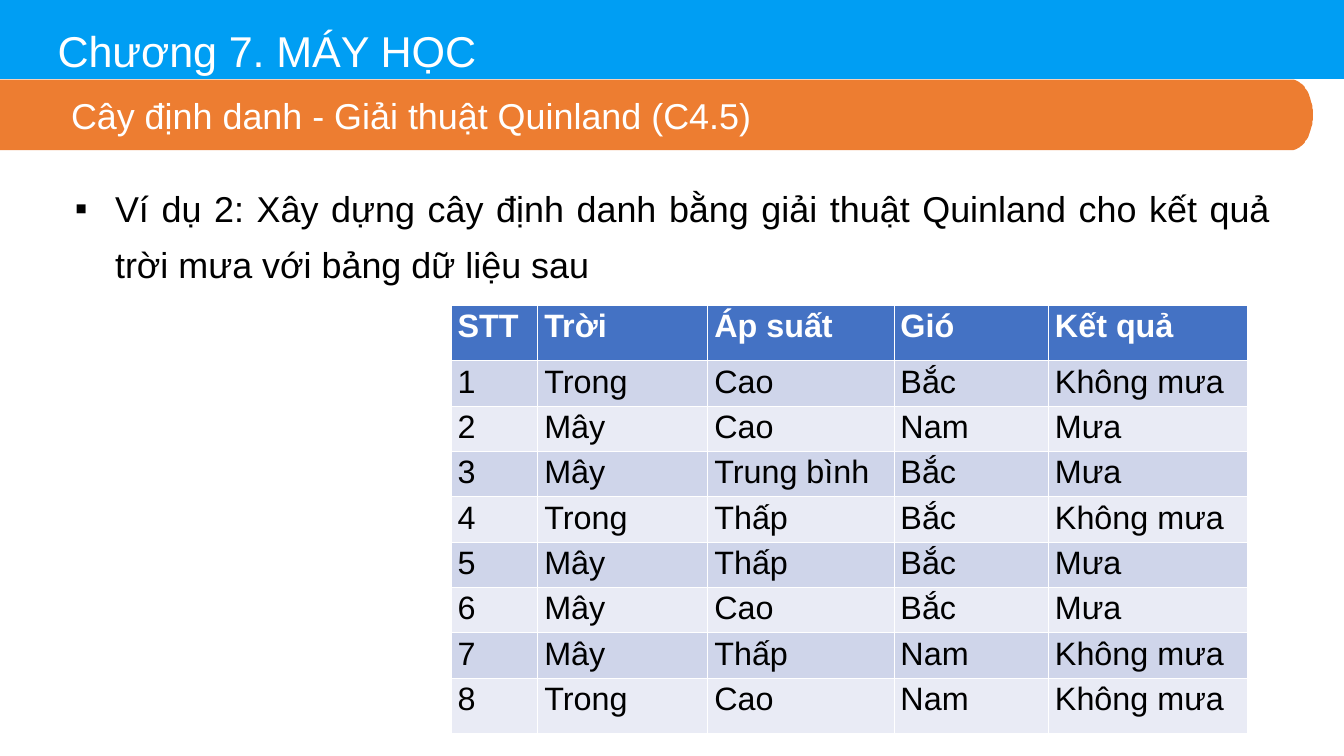
from dataclasses import dataclass
from math import cos, pi, sin

from lxml import etree
from pptx import Presentation
from pptx.dml.color import RGBColor
from pptx.enum.text import MSO_ANCHOR, MSO_AUTO_SIZE, PP_ALIGN
from pptx.oxml.ns import qn
from pptx.util import Pt

LEFT, JUSTIFY = PP_ALIGN.LEFT, PP_ALIGN.JUSTIFY
TOP, MIDDLE = MSO_ANCHOR.TOP, MSO_ANCHOR.MIDDLE
GROW = MSO_AUTO_SIZE.SHAPE_TO_FIT_TEXT

CHAPTER = "Chương 7. MÁY HỌC"
TOPIC = "Cây định danh - Giải thuật Quinland (C4.5)"
TASK = ("Ví dụ 2: Xây dựng cây định danh bằng giải thuật Quinland "
        "cho kết quả trời mưa với bảng dữ liệu sau")
HEADS = ("STT", "Trời", "Áp suất", "Gió", "Kết quả")
DAYS = [
    ("Trong", "Cao", "Bắc", "Không mưa"),
    ("Mây", "Cao", "Nam", "Mưa"),
    ("Mây", "Trung bình", "Bắc", "Mưa"),
    ("Trong", "Thấp", "Bắc", "Không mưa"),
    ("Mây", "Thấp", "Bắc", "Mưa"),
    ("Mây", "Cao", "Bắc", "Mưa"),
    ("Mây", "Thấp", "Nam", "Không mưa"),
    ("Trong", "Cao", "Nam", "Không mưa"),
]

PX = 9144  # EMU in one px, 100 px to the inch
WIDTH, HEIGHT = 2079, 1169
BANNER = (0, 0, WIDTH, 122)
TITLE = (89, 35, 1875, 82)
BODY = (114, 268, 1850, 169)
BAR = (0, 123, 2031, 109)
CAP = 34  # width of the rounded end of the bar
GRID = (698, 472)
COLS = (134, 263, 288, 239, 307)
EDGE_ROW, ROW = 86, 67


@dataclass(frozen=True)
class Theme:
    font: str = "Arial"
    white: str = "FFFFFF"
    black: str = "000000"
    banner: str = "009EF3"
    bar: str = "ED7D31"
    head: str = "4472C4"
    bands: tuple = ("E9EBF5", "CFD5EA")
    title: int = 48
    text: int = 40
    cell: int = 36


THEME = Theme()


def emu(*lengths):
    return [round(n * PX) for n in lengths]


def paint(fill, color):
    fill.solid()
    fill.fore_color.rgb = RGBColor.from_string(color)


def write(frame, text, size, color, bold=False, align=LEFT, anchor=None,
          inset=None, margin=0, hang=0, bullet=None, lines=None, track=None):
    """Fill a text frame with one formatted paragraph; inset is left, top, right, bottom."""
    para = frame.paragraphs[0]
    run = para.add_run()
    run.text = text
    props = para._p.get_or_add_pPr()
    if margin:
        props.set("marL", str(margin * PX))
        props.set("indent", str(hang * PX))
    if bullet:
        etree.SubElement(props, qn("a:buFont")).set("typeface", THEME.font)
        etree.SubElement(props, qn("a:buChar")).set("char", bullet)
    para.alignment = align
    if lines:
        para.line_spacing = lines
    font = run.font
    font.name, font.size, font.bold = THEME.font, Pt(size), bold
    font.color.rgb = RGBColor.from_string(color)
    if track:
        run._r.get_or_add_rPr().set("spc", str(track))
    if anchor is not None:
        frame.vertical_anchor = anchor
    if inset:
        (frame.margin_left, frame.margin_top,
         frame.margin_right, frame.margin_bottom) = emu(*inset)
        frame.word_wrap, frame.auto_size = True, GROW


def outline(shapes, points, color):
    path = shapes.build_freeform(*points[0], scale=PX)
    path.add_line_segments(points[1:], close=True)
    shape = path.convert_to_shape()
    shape.shadow.inherit = False
    shape.line.fill.background()
    paint(shape.fill, color)
    return shape


def add_banner(shapes):
    x, y, w, h = BANNER
    outline(shapes, [(x, y), (x + w, y), (x + w, y + h), (x, y + h)], THEME.banner)


def add_title(shapes):
    title = shapes.title
    shapes._spTree.append(title._element)  # in front of the banner
    title.left, title.top, title.width, title.height = emu(*TITLE)
    write(title.text_frame, CHAPTER, THEME.title, THEME.white,
          anchor=TOP, inset=(0, 2, 0, 0), track=-10)


def add_body(shapes):
    box = shapes.add_textbox(*emu(*BODY))
    write(box.text_frame, TASK, THEME.text, THEME.black, align=JUSTIFY, anchor=TOP,
          inset=(0, 1, 0, 0), margin=64, hang=-62, bullet="▪", lines=1.3)


def add_bar(shapes):
    x, y, w, h = BAR
    steps = 48
    turns = [pi * (i / steps - 0.5) for i in range(steps + 1)]
    curve = [(x + w - CAP + CAP * cos(t), y + h / 2 * (1 + sin(t))) for t in turns]
    bar = outline(shapes, [(x, y), *curve, (x, y + h)], THEME.bar)
    write(bar.text_frame, TOPIC, THEME.text, THEME.white,
          align=JUSTIFY, anchor=MIDDLE, margin=100)


def add_grid(shapes):
    rows = [HEADS] + [(str(n), *day) for n, day in enumerate(DAYS, 1)]
    last = len(rows) - 1
    highs = [EDGE_ROW if r in (0, last) else ROW for r in range(len(rows))]
    size = emu(*GRID, sum(COLS), sum(highs))
    table = shapes.add_table(len(rows), len(COLS), *size).table
    for col, wide in zip(table.columns, emu(*COLS)):
        col.width = wide
    for r, (row, high) in enumerate(zip(rows, emu(*highs))):
        table.rows[r].height = high
        head = r == 0
        for c, text in enumerate(row):
            cell = table.cell(r, c)
            paint(cell.fill, THEME.head if head else THEME.bands[r % 2])
            write(cell.text_frame, text, THEME.cell,
                  THEME.white if head else THEME.black, bold=head)


def main():
    deck = Presentation()
    deck.slide_width, deck.slide_height = emu(WIDTH, HEIGHT)
    shapes = deck.slides.add_slide(deck.slide_layouts[5]).shapes
    for add in (add_banner, add_title, add_body, add_bar, add_grid):
        add(shapes)
    deck.save("out.pptx")


if __name__ == "__main__":
    main()
